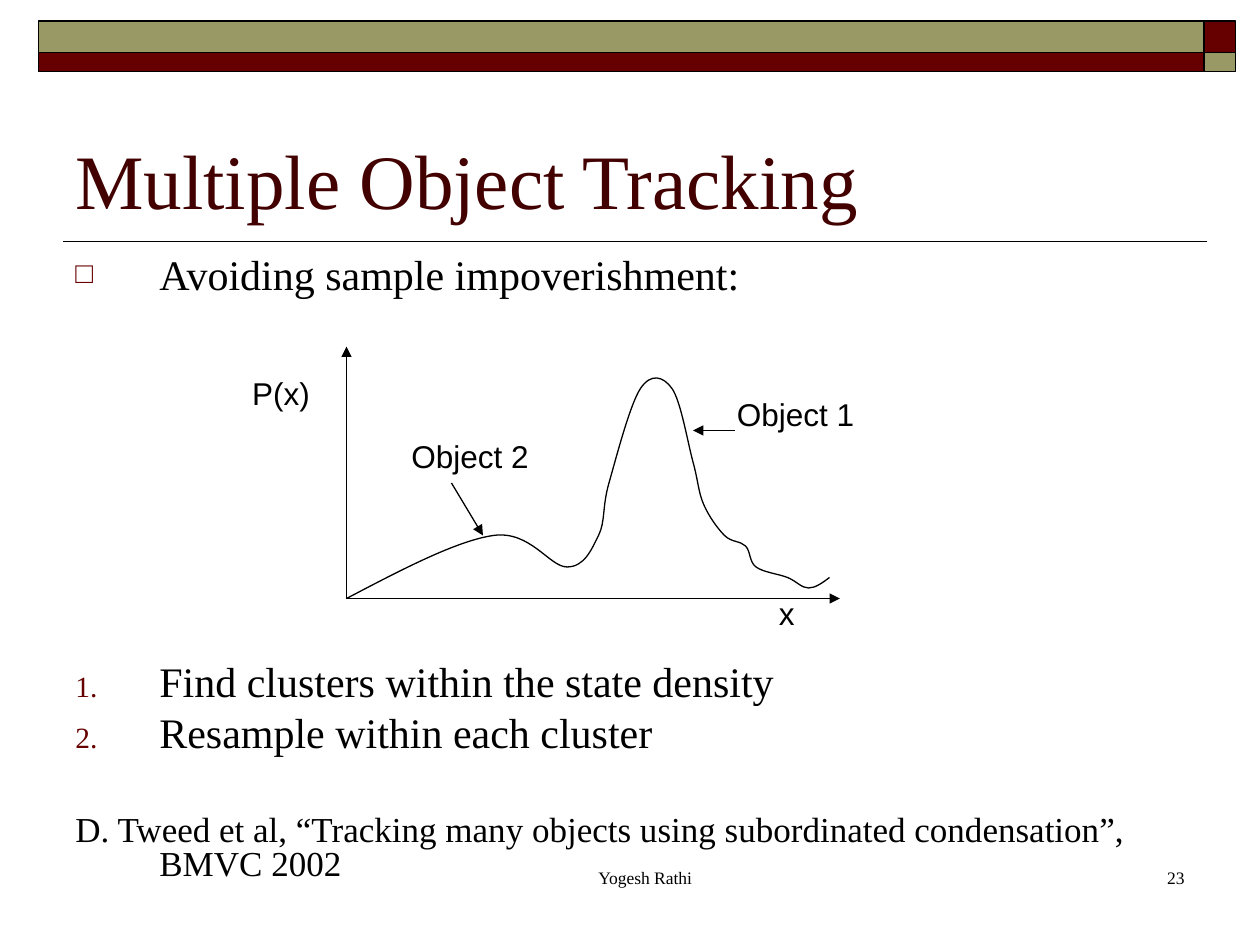
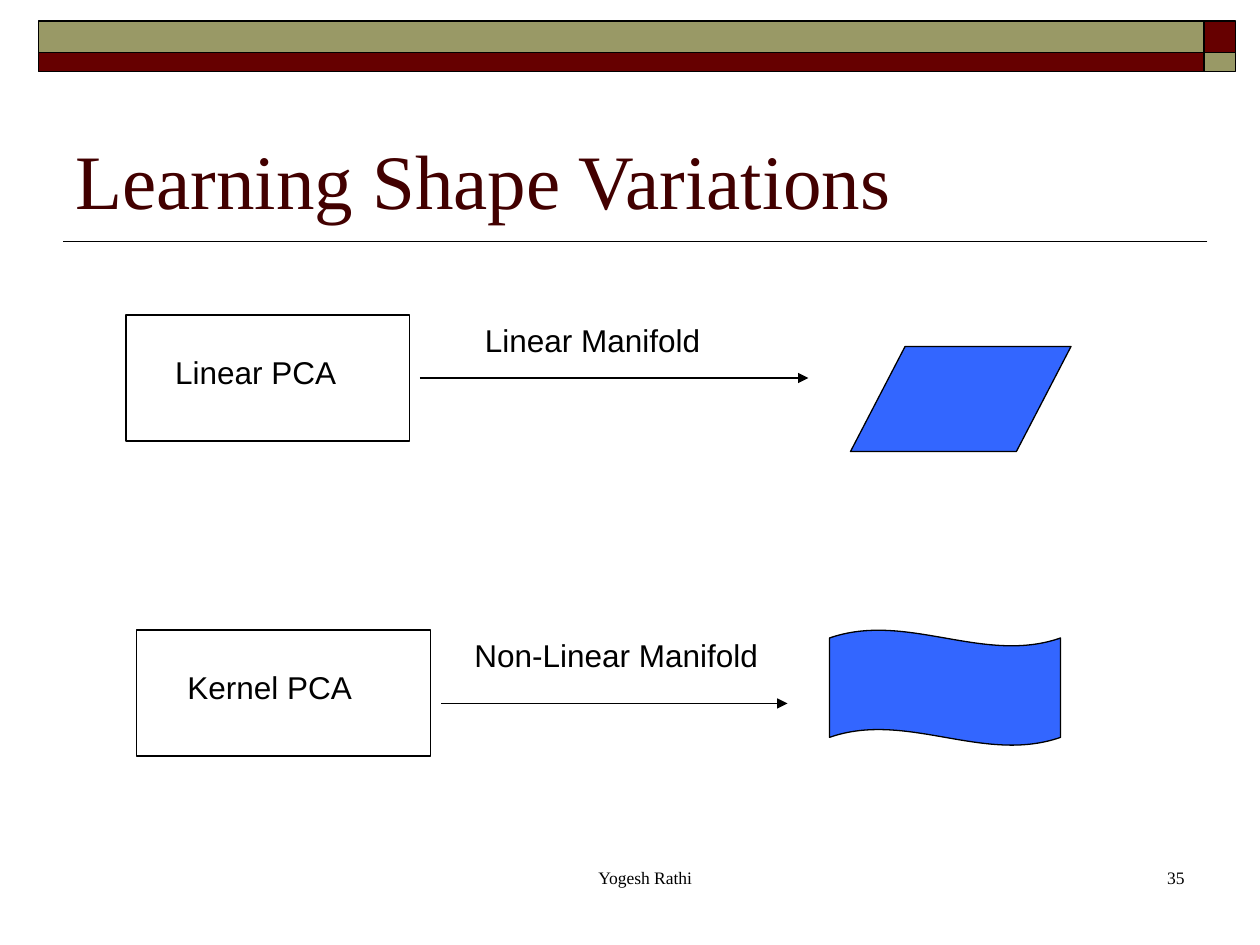
from collections import namedtuple
from dataclasses import dataclass
from lxml import etree
from pptx import Presentation
from pptx.dml.color import RGBColor
from pptx.enum.shapes import MSO_CONNECTOR, MSO_SHAPE
from pptx.enum.text import MSO_ANCHOR, MSO_AUTO_SIZE, PP_ALIGN
from pptx.oxml.ns import qn
from pptx.util import Inches, Pt

Box = namedtuple("Box", "left top width height")


@dataclass(frozen=True)
class Theme:
    black: str = "000000"
    maroon: str = "660000"
    olive: str = "999966"
    title_color: str = "420000"
    blue: str = "3366FF"
    serif: str = "Times New Roman"
    sans: str = "Arial"
    title_size: float = 44
    body_size: float = 24
    citation_size: float = 20
    label_size: float = 18
    footer_size: float = 10
    rule: float = 1
    thin: float = 0.75


THEME = Theme()


def snap(length):
    return Inches(round(length * 72) / 72)


def apply_format(target, values):
    for name, value in values.items():
        setattr(target, name, value)


def style_line(line, width):
    line.color.rgb = RGBColor.from_string(THEME.black)
    line.width = Pt(width)


def style_shape(shape, fill, width):
    shape.shadow.inherit = False
    if fill:
        shape.fill.solid()
        shape.fill.fore_color.rgb = RGBColor.from_string(fill)
    else:
        shape.fill.background()
    style_line(shape.line, width)


def add_preset(slide, kind, box, fill=None, width=THEME.thin, adjustments=()):
    shape = slide.shapes.add_shape(kind, *map(snap, box))
    style_shape(shape, fill, width)
    for index, value in enumerate(adjustments):
        shape.adjustments[index] = value


def add_line(slide, start, end, width=THEME.thin, arrow=True):
    line = slide.shapes.add_connector(
        MSO_CONNECTOR.STRAIGHT, *map(snap, (*start, *end)))
    style_line(line.line, width)
    if arrow:
        outline = line.line._get_or_add_ln()
        etree.SubElement(outline, qn("a:tailEnd"), type="triangle")
    etree.SubElement(line._element.spPr, qn("a:effectLst"))


def add_frame(slide, box, anchor=MSO_ANCHOR.TOP):
    frame = slide.shapes.add_textbox(*map(snap, box)).text_frame
    apply_format(frame, {"word_wrap": True, "vertical_anchor": anchor})
    return frame


def write(paragraph, text, size, font=THEME.serif, color=THEME.black):
    run = paragraph.add_run()
    run.text = text
    apply_format(run.font, {"name": font, "size": Pt(size)})
    run.font.color.rgb = RGBColor.from_string(color)


def add_label(slide, text, left, top, width):
    frame = add_frame(slide, Box(left, top, width, 0.4))
    frame.auto_size = MSO_AUTO_SIZE.SHAPE_TO_FIT_TEXT
    write(frame.paragraphs[0], text, THEME.label_size, THEME.sans)


def add_bullet(paragraph, tag, **marker):
    properties = paragraph._p.get_or_add_pPr()
    color = etree.SubElement(properties, qn("a:buClr"))
    etree.SubElement(color, qn("a:srgbClr"), val=THEME.maroon)
    etree.SubElement(properties, qn("a:buSzPct"), val="70000")
    etree.SubElement(properties, qn("a:buFont"), typeface=THEME.serif)
    etree.SubElement(properties, qn(tag), **marker)


def draw_bands(slide, box):
    corner = 0.25
    split = box.width - corner
    lower = box.height - corner
    tiles = [(split, 0, corner, corner, THEME.maroon),
             (0, 0, split, corner, THEME.olive),
             (0, corner, split, lower, THEME.maroon),
             (split, corner, corner, lower, THEME.olive)]
    for left, top, width, height, fill in tiles:
        add_preset(slide, MSO_SHAPE.RECTANGLE,
                   Box(box.left + left, box.top + top, width, height),
                   fill, THEME.rule)


def draw_title(slide, box, title):
    write(add_frame(slide, box, MSO_ANCHOR.BOTTOM).paragraphs[0],
          title, THEME.title_size, color=THEME.title_color)


def draw_footer(slide, box, number):
    fields = [("Yogesh Rathi", 0, 3.17, PP_ALIGN.CENTER),
              (str(number), 4, 2.08, PP_ALIGN.RIGHT)]
    for text, offset, width, alignment in fields:
        frame = add_frame(slide, Box(box.left + offset, box.top, width, box.height))
        paragraph = frame.paragraphs[0]
        paragraph.alignment = alignment
        paragraph._p.get_or_add_pPr().set("marL", str(Inches(0.24)))
        write(paragraph, text, THEME.footer_size)


def build_slide(deck, title, number, draw_content):
    slide = deck.slides.add_slide(deck.slide_layouts[6])
    add_line(slide, (9.58, 1.92), (0.5, 1.92), THEME.rule, arrow=False)
    draw_bands(slide, Box(0.31, 0.17, 9.5, 0.4))
    draw_title(slide, Box(0.5, 0.58, 9, 1.25), title)
    draw_content(slide)
    draw_footer(slide, Box(3.42, 6.83, 6.08, 0.5), number)


def draw_body(slide, box):
    numbered = ("a:buAutoNum", {"type": "arabicPeriod"})
    items = [
        ("Avoiding sample impoverishment:", 0, THEME.body_size,
         ("a:buChar", {"char": "□"})),
        ("Find clusters within the state density", 209.5, THEME.body_size, numbered),
        ("Resample within each cluster", 6, THEME.body_size, numbered),
        ("D. Tweed et al, “Tracking many objects using subordinated "
         "condensation”, BMVC 2002", 34, THEME.citation_size, None),
    ]
    frame = add_frame(slide, box)
    for index, (text, gap, size, bullet) in enumerate(items):
        paragraph = frame.add_paragraph() if index else frame.paragraphs[0]
        apply_format(paragraph, {"line_spacing": 0.8, "space_before": Pt(gap)})
        properties = paragraph._p.get_or_add_pPr()
        hanging = snap(0.67)
        properties.set("marL", str(hanging))
        properties.set("indent", str(-hanging))
        if bullet:
            add_bullet(paragraph, bullet[0], **bullet[1])
        write(paragraph, text, size)


def curve_points(knots):
    def handle(index, sign):
        before, knot, after = knots[index - 1:index + 2]
        return tuple(k + sign * (a - b) / 6 for b, k, a in zip(before, knot, after))

    def midpoint(first, second):
        return tuple((a + b) / 2 for a, b in zip(first, second))

    points = [knots[0]]
    last = len(knots) - 1
    for index in range(last):
        start, end = knots[index:index + 2]
        if index == 0:
            arrive = handle(1, -1)
            leave = midpoint(start, arrive)
        else:
            leave = handle(index, 1)
            arrive = handle(index + 1, -1) if index + 1 < last else midpoint(leave, end)
        points += [leave, arrive, end]
    return points


def add_curve(slide, knots):
    points = curve_points([tuple(map(snap, knot)) for knot in knots])
    builder = slide.shapes.build_freeform(*points[0])
    builder.add_line_segments(points[1:], close=False)
    curve = builder.convert_to_shape()
    style_shape(curve, None, THEME.thin)
    segments = list(curve._element.iter(qn("a:lnTo")))
    for first in range(0, len(segments), 3):
        bezier = etree.Element(qn("a:cubicBezTo"))
        segments[first].addprevious(bezier)
        for segment in segments[first:first + 3]:
            bezier.append(segment[0])
            segment.getparent().remove(segment)


def draw_density_plot(slide, box):
    base = box.top + box.height

    def at(x, y):
        return box.left + x, base - y

    add_line(slide, at(0, 0), at(0, box.height))
    add_line(slide, at(0, 0), at(box.width, 0))
    knots = [(0, 0), (1.17, 0.5), (1.75, 0.25), (2, 0.5), (2.08, 0.92),
             (2.33, 1.67), (2.58, 1.67), (2.75, 1.08), (2.83, 0.75), (3, 0.5),
             (3.17, 0.42), (3.25, 0.25), (3.5, 0.17), (3.67, 0.08), (3.83, 0.17)]
    add_curve(slide, [at(*knot) for knot in knots])
    labels = [("x", 3.33, 0.08, 0.75), ("P(x)", -0.85, 1.83, 0.83),
              ("Object 1", 3, 1.67, 1.25), ("Object 2", 0.42, 1.33, 1.33)]
    for text, x, y, width in labels:
        add_label(slide, text, *at(x, y), width)
    add_line(slide, at(3.08, 1.33), at(2.75, 1.33))
    add_line(slide, at(0.83, 0.92), at(1.08, 0.5))


def draw_mapping(slide, box, method, manifold, label, arrow, surface):
    kind, area, adjustments = surface
    add_preset(slide, kind,
               area._replace(left=box.left + area.left, top=box.top + area.top),
               THEME.blue, adjustments=adjustments)
    add_preset(slide, MSO_SHAPE.RECTANGLE, box)
    add_label(slide, method, box.left + 0.13 * box.width, box.top + 0.25, 1.8)
    length, drop = arrow
    start = box.left + box.width + 0.09
    add_line(slide, (start, box.top + drop), (start + length, box.top + drop))
    text_left, text_width = label
    add_label(slide, manifold, box.left + text_left, box.top, text_width)


def draw_tracking(slide):
    draw_body(slide, Box(0.5, 2, 9, 5.08))
    draw_density_plot(slide, Box(2.75, 2.75, 3.92, 2))


def draw_shape_variations(slide):
    draw_mapping(slide, Box(1, 2.5, 2.25, 1), "Linear PCA", "Linear Manifold",
                 (2.75, 2.33), (3.08, 0.5),
                 (MSO_SHAPE.PARALLELOGRAM, Box(5.75, 0.25, 1.75, 0.83), [0.52]))
    draw_mapping(slide, Box(1.08, 5, 2.33, 1), "Kernel PCA", "Non-Linear Manifold",
                 (2.59, 2.58), (2.75, 0.58),
                 (MSO_SHAPE.WAVE, Box(5.5, 0, 1.83, 0.92), [0.07, 0]))


def main():
    deck = Presentation()
    apply_format(deck, {"slide_width": Inches(10), "slide_height": Inches(7.5)})
    build_slide(deck, "Multiple Object Tracking", 23, draw_tracking)
    build_slide(deck, "Learning Shape Variations", 35, draw_shape_variations)
    deck.save("out.pptx")


if __name__ == "__main__":
    main()
